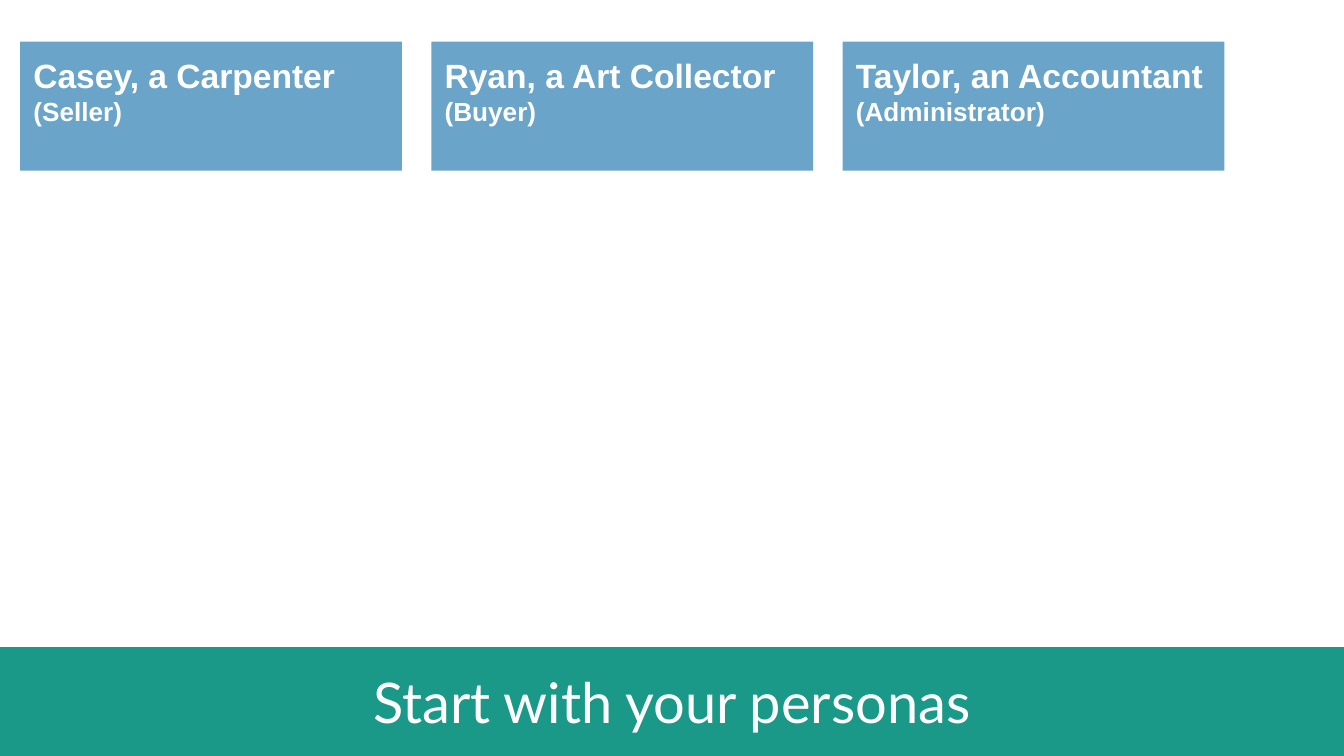
from pptx import Presentation
from pptx import util as u
from pptx.dml import color
from pptx.enum import shapes, text

WIDTH = 10
HEIGHT = WIDTH * 9 / 16
WHITE, TEAL, BLUE = "FFFFFF", "1A9988", "6AA4C8"
PERSONAS = [
    ("Casey, a Carpenter", "(Seller)"),
    ("Ryan, a Art Collector", "(Buyer)"),
    ("Taylor, an Accountant", "(Administrator)"),
]
CARD_WIDTH, CARD_GAP = 2.84, 0.22


def rgb(value):
    return color.RGBColor.from_string(value)


def set_attributes(target, values):
    for name, value in values.items():
        setattr(target, name, value)


def place(shape, box):
    names = ("left", "top", "width", "height")
    set_attributes(shape, dict(zip(names, map(u.Inches, box))))


def add_rectangle(slide, box, fill):
    shape = slide.shapes.add_shape(
        shapes.MSO_SHAPE.RECTANGLE, *map(u.Inches, box))
    shape.shadow.inherit = False
    shape.fill.solid()
    shape.fill.fore_color.rgb = rgb(fill)
    shape.line.fill.background()
    return shape


def write(shape, lines, anchor, alignment, font_name, bold):
    frame = shape.text_frame
    margins = ("margin_left", "margin_top", "margin_right", "margin_bottom")
    set_attributes(frame, {
        **dict.fromkeys(margins, u.Inches(0.1)),
        "word_wrap": True,
        "auto_size": text.MSO_AUTO_SIZE.NONE,
        "vertical_anchor": anchor,
    })
    for index, (words, size) in enumerate(lines):
        paragraph = frame.add_paragraph() if index else frame.paragraphs[0]
        set_attributes(paragraph, {
            "alignment": alignment, "line_spacing": 1.0,
            "space_before": u.Pt(0), "space_after": u.Pt(0),
        })
        run = paragraph.add_run()
        run.text = words
        set_attributes(run.font, {
            "name": font_name, "size": u.Pt(size), "bold": bold})
        run.font.color.rgb = rgb(WHITE)


def add_title_band(slide, box, words):
    left, top, width, height = box
    band = add_rectangle(slide, box, TEAL)
    title = slide.shapes.title
    title.element.addprevious(band.element)
    margin = 0.08 * width
    place(title, (left + margin, top + height * 0.19,
                  width - 2 * margin, height * 0.62))
    write(title, [(words, 30)], text.MSO_ANCHOR.MIDDLE,
          text.PP_ALIGN.CENTER, "Lato", False)


def add_persona_row(slide, box, personas):
    left, top, width, height = box
    pitch = (width + CARD_GAP) / len(personas)
    for column, (name, role) in enumerate(personas):
        card = add_rectangle(
            slide, (left + column * pitch, top, pitch - CARD_GAP, height), BLUE)
        write(card, [(name, 18), (role, 14)], text.MSO_ANCHOR.TOP,
              text.PP_ALIGN.LEFT, "Arial", True)


def main():
    presentation = Presentation()
    set_attributes(presentation, {
        "slide_width": u.Inches(WIDTH), "slide_height": u.Inches(HEIGHT)})
    slide = presentation.slides.add_slide(presentation.slide_layouts[5])
    slide.background.fill.solid()
    slide.background.fill.fore_color.rgb = rgb(WHITE)
    band_height = 0.81
    add_title_band(slide, (0, HEIGHT - band_height, WIDTH, band_height),
                   "Start with your personas")
    count = len(PERSONAS)
    row_width = count * CARD_WIDTH + (count - 1) * CARD_GAP
    add_persona_row(slide, (0.15, 0.31, row_width, 0.96), PERSONAS)
    presentation.save("out.pptx")


if __name__ == "__main__":
    main()
